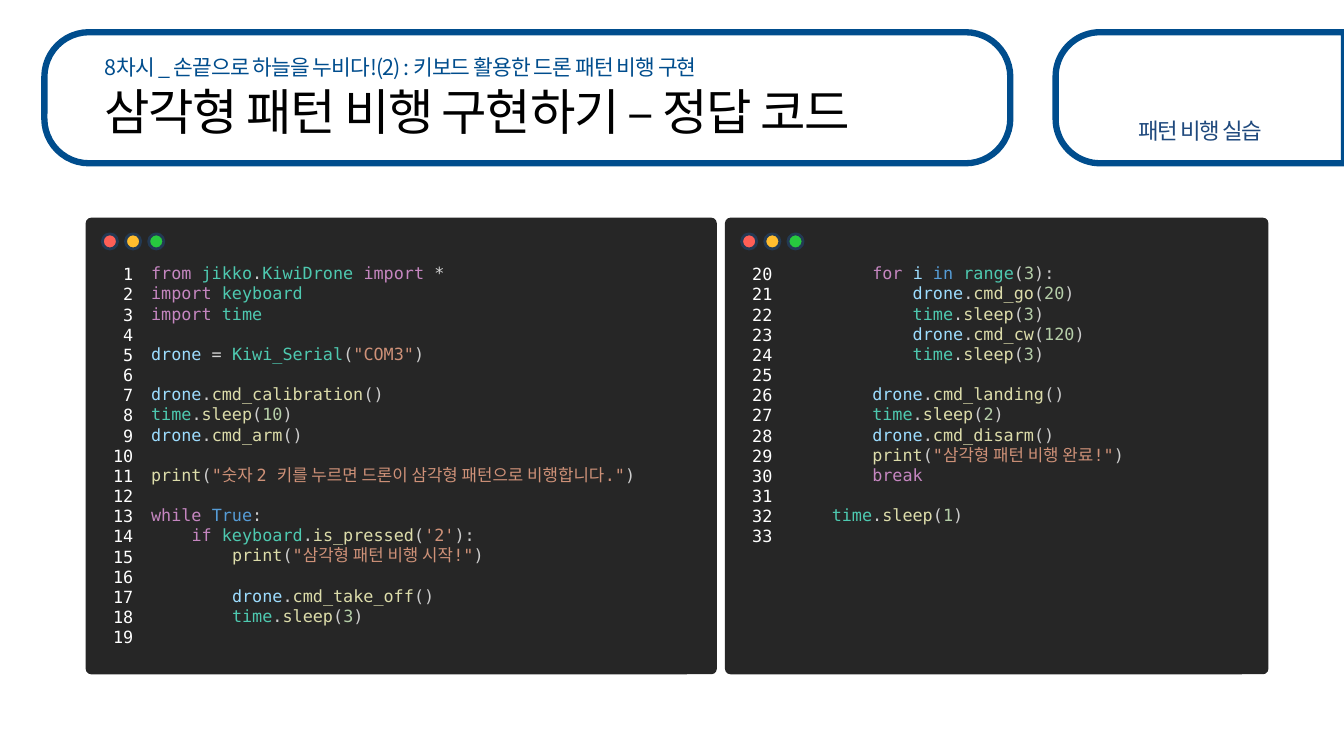
import math
from itertools import groupby

from lxml import etree
from pptx import Presentation
from pptx.dml.color import RGBColor
from pptx.enum.shapes import MSO_SHAPE
from pptx.enum.text import PP_ALIGN
from pptx.oxml.ns import qn
from pptx.util import Inches, Pt

ROUNDED, DOT = MSO_SHAPE.ROUNDED_RECTANGLE, MSO_SHAPE.OVAL
LEFT, CENTER, RIGHT = PP_ALIGN.LEFT, PP_ALIGN.CENTER, PP_ALIGN.RIGHT

THEME = {
    "heading_font": "Noto Sans CJK KR", "code_font": "DejaVu Sans Mono",
    "lesson_size": 15.3, "title_size": 35.3, "label_size": 16,
    "code_size": 12, "code_pitch": 14.4,
    "frame": "004D8D", "paper": "FFFFFF", "title": "000000", "label": "1F497D",
    "panel": "262626", "dot_ring": "233953",
    "dots": ["FF5F56", "FFBD2E", "27C93F"], "line_number": "FFFFFF",
    "keyword": "C586C0", "module": "4EC9B0", "variable": "9CDCFE",
    "constant": "569CD6", "function": "DCDCAA", "number": "B5CEA8",
    "string": "CE9178", "operator": "D4D4D4", "punctuation": "CCCCCC",
}

# Syntax colouring: any other word is a function
VOCABULARY = {
    "keyword": "from import while if for break",
    "module": "jikko KiwiDrone keyboard time Kiwi_Serial range",
    "variable": "drone i",
    "constant": "True in",
    "operator": "= *",
}
WORD_KIND = {word: kind for kind, words in VOCABULARY.items() for word in words.split()}

SETUP_CODE = '''from jikko.KiwiDrone import *
import keyboard
import time

drone = Kiwi_Serial("COM3")

drone.cmd_calibration()
time.sleep(10)
drone.cmd_arm()

print("숫자 2 키를 누르면 드론이 삼각형 패턴으로 비행합니다.")

while True:
    if keyboard.is_pressed('2'):
        print("삼각형 패턴 비행 시작!")

        drone.cmd_take_off()
        time.sleep(3)'''

TRIANGLE_CODE = '''        for i in range(3):
            drone.cmd_go(20)
            time.sleep(3)
            drone.cmd_cw(120)
            time.sleep(3)

        drone.cmd_landing()
        time.sleep(2)
        drone.cmd_disarm()
        print("삼각형 패턴 비행 완료!")
        break

    time.sleep(1)'''


def paint(shape, fill, line=None, width=0):
    shape.shadow.inherit = False
    shape.fill.solid()
    shape.fill.fore_color.rgb = RGBColor.from_string(fill)
    if line:
        shape.line.color.rgb = RGBColor.from_string(line)
        shape.line.width = Pt(width)
    else:
        shape.line.fill.background()


def add_text(box, lines, font, size, align=LEFT, pitch=0.9):
    """Each line is a list of (text, colour, letter spacing); an empty line becomes a gap."""
    frame = slide.shapes.add_textbox(*map(Inches, box)).text_frame
    frame.word_wrap = True
    paragraph, gap = frame.paragraphs[0], 0
    for line in lines:
        if not line:
            gap += 1
            continue
        if paragraph.runs:
            paragraph = frame.add_paragraph()
        paragraph.alignment = align
        paragraph.line_spacing = pitch
        if gap:
            paragraph.space_before, gap = pitch * gap, 0
        paragraph.font.name, paragraph.font.size = font, Pt(size)
        for text, colour, spacing in line:
            run = paragraph.add_run()
            run.text = text
            run.font.color.rgb = RGBColor.from_string(colour)
            if spacing:
                properties = run.font._element
                properties.set("spc", str(round(spacing * 100)))
                etree.SubElement(properties, qn("a:ea")).set("typeface", font)


presentation = Presentation()
presentation.slide_width, presentation.slide_height = Inches(13.33), Inches(7.5)
slide = presentation.slides.add_slide(presentation.slide_layouts[6])

# Section frame, open-ended at the right edge of the slide
left, top, right, bottom, radius = 10.47, 0.32, 13.33, 1.62, 0.44
outline = [(right, top), (right, bottom)]
for start, centre_y in ((90, bottom - radius), (180, top + radius)):
    for angle in range(start, start + 91, 5):
        turn = math.radians(angle)
        outline.append((left + radius + radius * math.cos(turn),
                        centre_y + radius * math.sin(turn)))
outline = [(Inches(x), Inches(y)) for x, y in outline]
builder = slide.shapes.build_freeform(*outline[0])
builder.add_line_segments(outline[1:], close=True)
paint(builder.convert_to_shape(), THEME["paper"], THEME["frame"], 4.5)

# Title frame
title_frame = slide.shapes.add_shape(ROUNDED, Inches(0.44), Inches(top), Inches(9.58), Inches(1.3))
title_frame.adjustments[0] = 0.34
paint(title_frame, THEME["paper"], THEME["frame"], 4.5)

# Headings
lesson = [("8차시 _ ", THEME["frame"], -1),
          ("손끝으로 하늘을 누비다!(2) : 키보드 활용한 드론 패턴 비행 구현", THEME["frame"], -0.7)]
title = [("삼각형 패턴 비행 구현하기 – 정답 코드", THEME["title"], -1)]
section = [("패턴 비행 실습", THEME["label"], -1)]
for box, heading, size, align in (
    ((0.94, 0.52, 8.61, 0.31), lesson, THEME["lesson_size"], LEFT),
    ((0.94, 0.82, 8.61, 0.59), title, THEME["title_size"], LEFT),
    ((11.06, 1.14, 1.69, 0.39), section, THEME["label_size"], CENTER),
):
    add_text(box, [heading], THEME["heading_font"], size, align)

# Code windows: left, width, code left, code width, numbers left, line numbers, code
pitch = Pt(THEME["code_pitch"])
for left, width, code_left, code_width, numbers_left, numbers, code in (
    (0.85, 6.26, 1.4, 6.61, 0.99, range(1, 20), SETUP_CODE),
    (7.19, 5.39, 7.75, 4.32, 7.33, range(20, 34), TRIANGLE_CODE),
):
    window = slide.shapes.add_shape(ROUNDED, Inches(left), Inches(2.16), Inches(width), Inches(4.53))
    window.adjustments[0] = 0.012
    paint(window, THEME["panel"])
    for i, colour in enumerate(THEME["dots"]):
        button = slide.shapes.add_shape(DOT, Inches(left + 0.165 + 0.23 * i), Inches(2.32),
                                        Inches(0.15), Inches(0.15))
        paint(button, colour, THEME["dot_ring"], 2)

    coloured_lines = []
    for line in code.split("\n"):
        tokens = []
        quote = "'" if "'" in line else '"'
        for i, part in enumerate(line.split(quote)):
            if i % 2:
                tokens.append((quote + part + quote, THEME["string"], 0))
                continue
            for is_word, letters in groupby(part, lambda c: c.isalnum() or c == "_"):
                token = "".join(letters)
                fallback = "function" if is_word else "punctuation"
                kind = "number" if token.isdigit() else WORD_KIND.get(token.strip(), fallback)
                tokens.append((token, THEME[kind], 0))
        coloured_lines.append(tokens)
    add_text((code_left, 2.56, code_width, 4.1), coloured_lines,
             THEME["code_font"], THEME["code_size"], LEFT, pitch)

    number_lines = [[(str(n), THEME["line_number"], 0)] for n in numbers]
    add_text((numbers_left, 2.57, 0.43, 0.1 + 0.2 * len(numbers)), number_lines,
             THEME["code_font"], THEME["code_size"], RIGHT, pitch)

presentation.save("out.pptx")
